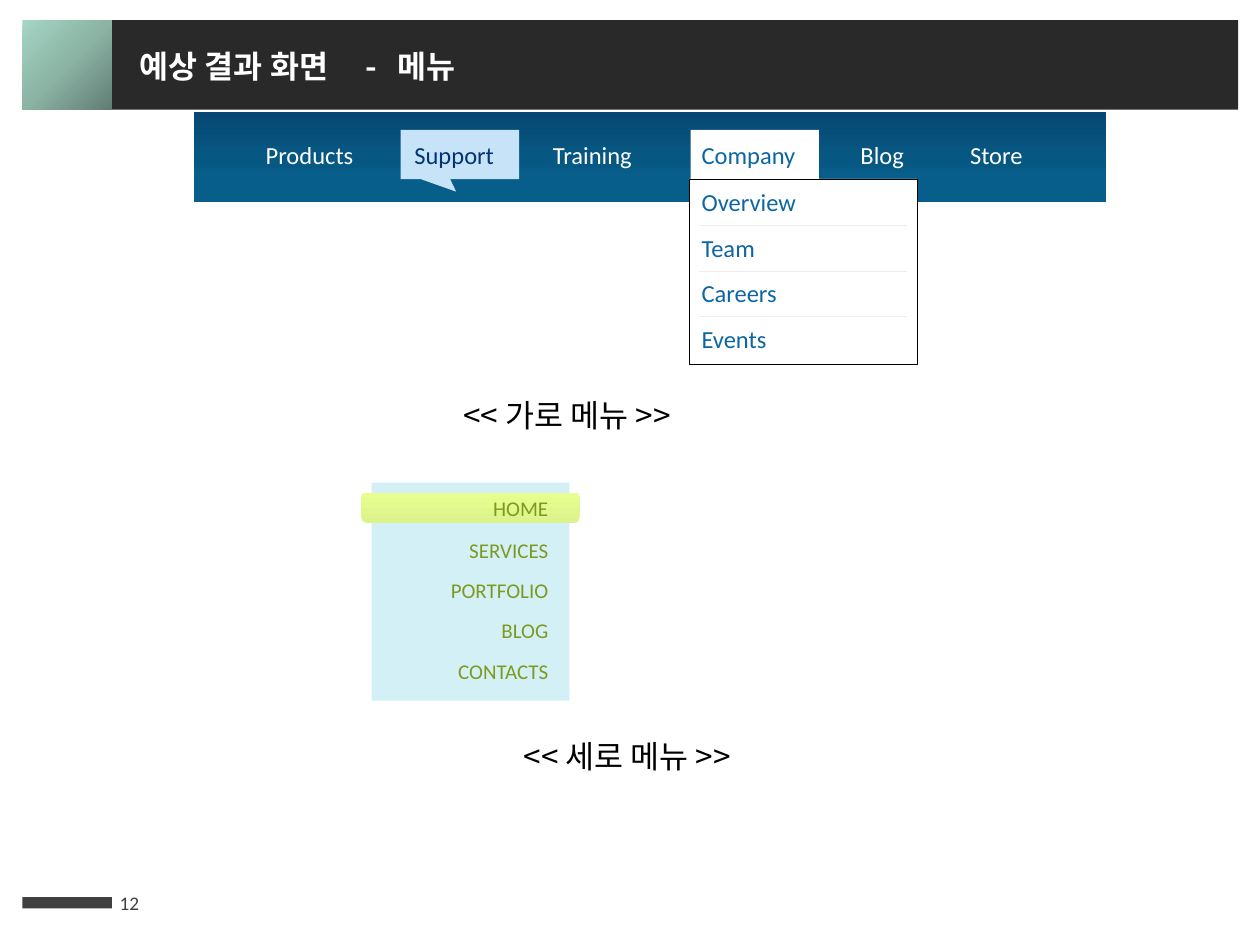
"""Build the slide that shows the expected menu screens."""
from dataclasses import dataclass
from typing import NamedTuple, Optional

from lxml.etree import SubElement
from pptx import Presentation
from pptx.dml.color import RGBColor
from pptx.enum.shapes import MSO_CONNECTOR, MSO_SHAPE
from pptx.enum.text import MSO_ANCHOR, MSO_AUTO_SIZE, PP_ALIGN
from pptx.oxml.ns import qn
from pptx.util import Pt


@dataclass(frozen=True)
class Theme:
    """Hold the colours, fonts and type sizes."""
    latin: str = "Calibri"
    hangul: str = "Noto Sans CJK KR"
    head: float = 18
    menu: float = 14
    side: float = 12
    page: float = 11
    white: str = "FFFFFF"
    black: str = "000000"
    dark: str = "292929"
    gray: str = "404040"
    rule: str = "EDEDED"
    pale: str = "C6E3F7"
    navy: str = "043472"
    blue: str = "0D66A3"
    aqua: str = "D4F0F7"
    olive: str = "7D9920"
    mint: tuple = ((0, "627E74"), (50, "8BB4A5"), (100, "A5D5C4"))
    sea: tuple = ((27, "085E8A"), (49, "075783"), (100, "064873"))
    lime: tuple = ((0, "DCF38B"), (100, "E8FE90"))


THEME = Theme()


class Box(NamedTuple):
    """Place a shape in points."""
    left: float
    top: float
    width: float
    height: float


class Style(NamedTuple):
    """Describe the look of a run."""
    size: float
    color: str
    font: str = THEME.latin
    bold: bool = False


class Label(NamedTuple):
    """Pair a text with its place and style."""
    text: str
    box: Box
    style: Style
    align: PP_ALIGN = PP_ALIGN.LEFT


def points(box: Box) -> tuple:
    """Turn a box into lengths."""
    return tuple(Pt(side) for side in box)


def blend(shape, stops: tuple, round_out: bool = False) -> None:
    """Fill a shape with a gradient, upward or from the lower right corner."""
    shape.fill.background()
    props = shape._element.spPr
    blank = props.find(qn("a:noFill"))
    grad = SubElement(props, qn("a:gradFill"), rotWithShape="1")
    props.replace(blank, grad)
    chain = SubElement(grad, qn("a:gsLst"))
    for spot, color in stops:
        stop = SubElement(chain, qn("a:gs"), pos=str(spot * 1000))
        SubElement(stop, qn("a:srgbClr"), val=color)
    if round_out:
        route = SubElement(grad, qn("a:path"), path="circle")
        SubElement(route, qn("a:fillToRect"), l="100000", t="100000")
    else:
        SubElement(grad, qn("a:lin"), ang="16200000", scaled="0")


def panel(slide, box: Box, color: Optional[str] = None,
          kind: MSO_SHAPE = MSO_SHAPE.RECTANGLE):
    """Draw a plain shape without an outline."""
    shape = slide.shapes.add_shape(kind, *points(box))
    shape.shadow.inherit = False
    if color:
        shape.fill.solid()
        shape.fill.fore_color.rgb = RGBColor.from_string(color)
    shape.line.fill.background()
    return shape


def add_run(para, text: str, style: Style) -> None:
    """Add one styled run to a paragraph."""
    run = para.add_run()
    run.text = text
    font = run.font
    font.size, font.bold, font.name = Pt(style.size), style.bold, style.font
    font.color.rgb = RGBColor.from_string(style.color)
    SubElement(run._r.get_or_add_rPr(), qn("a:ea"), typeface=style.font)


def write(slide, label: Label):
    """Add a text box that holds one label."""
    frame = slide.shapes.add_textbox(*points(label.box)).text_frame
    frame.word_wrap = True
    frame.auto_size = MSO_AUTO_SIZE.SHAPE_TO_FIT_TEXT
    para = frame.paragraphs[0]
    para.alignment = label.align
    add_run(para, label.text, label.style)
    return frame


def divide(slide, left: float, right: float, top: float) -> None:
    """Draw a thin level rule."""
    rule = slide.shapes.add_connector(
        MSO_CONNECTOR.STRAIGHT, Pt(left), Pt(top), Pt(right), Pt(top))
    rule.line.color.rgb = RGBColor.from_string(THEME.rule)
    rule.line.width = Pt(0.75)
    SubElement(rule._element.spPr, qn("a:effectLst"))


def draw_frame(slide) -> None:
    """Draw the header, the title and the page mark."""
    panel(slide, Box(64.1, 11.5, 643.5, 51.1), THEME.dark)
    blend(panel(slide, Box(12.8, 11.5, 51.2, 51.1)), THEME.mint, True)
    panel(slide, Box(12.8, 512.6, 51.2, 6.5), THEME.gray)
    page = write(slide, Label("12", Box(61.2, 501.8, 42.5, 28.8),
                              Style(THEME.page, THEME.gray)))
    page.auto_size = MSO_AUTO_SIZE.NONE
    page.vertical_anchor = MSO_ANCHOR.MIDDLE

    title = slide.shapes.title
    title.left, title.top, title.width, title.height = points(
        Box(72.7, 23, 503.3, 28.8))
    frame = title.text_frame
    frame.vertical_anchor = MSO_ANCHOR.TOP
    frame.auto_size = MSO_AUTO_SIZE.SHAPE_TO_FIT_TEXT
    para = frame.paragraphs[0]
    para.alignment = PP_ALIGN.LEFT
    tabs = SubElement(para._p.get_or_add_pPr(), qn("a:tabLst"))
    for stop in (129, 147.5):
        SubElement(tabs, qn("a:tab"), pos=str(Pt(stop)), algn="l")
    style = Style(THEME.head, THEME.white, THEME.hangul, True)
    for text in ("예상 결과 화면", "\t-", "\t메뉴"):
        add_run(para, text, style)
    slide.shapes._spTree.append(title._element)


def draw_bar(slide) -> None:
    """Draw the level menu with its open list."""
    blend(panel(slide, Box(110.6, 64.1, 521.5, 51.1)), THEME.sea)
    bubble = panel(slide, Box(229, 74.2, 67.7, 28.1), THEME.pale,
                   MSO_SHAPE.RECTANGULAR_CALLOUT)
    bubble.adjustments[0], bubble.adjustments[1] = -0.032, 0.757
    sheet = panel(slide, Box(393.8, 102.2, 130.3, 105.8), THEME.white)
    sheet.line.color.rgb = RGBColor.from_string(THEME.black)
    sheet.line.width = Pt(0.25)
    panel(slide, Box(394.6, 74.2, 73.4, 28.1), THEME.white)

    items = (("Products", 144.7, THEME.white), ("Support", 229.7, THEME.navy),
             ("Training", 308.9, THEME.white), ("Company", 393.8, THEME.blue),
             ("Blog", 484.6, THEME.white), ("Store", 547.2, THEME.white))
    for text, left, color in items:
        write(slide, Label(text, Box(left, 76.3, 90, 24.5),
                           Style(THEME.menu, color)))

    entries = ("Overview", "Team", "Careers", "Events")
    for row, text in enumerate(entries):
        top = 103.5 + 26 * row
        write(slide, Label(text, Box(393.8, top, 102.2, 24.5),
                           Style(THEME.menu, THEME.blue)))
        if row < len(entries) - 1:
            divide(slide, 399.6, 518.4, top + 25.5)


def draw_side(slide) -> None:
    """Draw the upright menu."""
    panel(slide, Box(212.4, 275.8, 113, 124.6), THEME.aqua)
    blend(panel(slide, Box(206.6, 281.5, 124.6, 17.3),
                kind=MSO_SHAPE.ROUNDED_RECTANGLE), THEME.lime)
    rest = ("SERVICES", "PORTFOLIO", "BLOG", "CONTACTS")
    rows = [("HOME", 279.4)]
    rows += [(text, 303.8 + 22.9 * row) for row, text in enumerate(rest)]
    for text, top in rows:
        write(slide, Label(text, Box(218.2, top, 102.2, 21.6),
                           Style(THEME.side, THEME.olive), PP_ALIGN.RIGHT))


def main() -> None:
    """Build and save the slide."""
    deck = Presentation()
    deck.slide_width, deck.slide_height = Pt(720), Pt(540)
    slide = deck.slides.add_slide(deck.slide_layouts[5])
    draw_frame(slide)
    draw_bar(slide)
    draw_side(slide)
    style = Style(THEME.head, THEME.black, THEME.hangul)
    for text, left, top in (("<< 가로 메뉴 >>", 257.8, 222.5),
                            ("<< 세로 메뉴 >>", 292.3, 417.6)):
        write(slide, Label(text, Box(left, top, 164, 28.8), style))
    deck.save("out.pptx")


if __name__ == "__main__":
    main()
